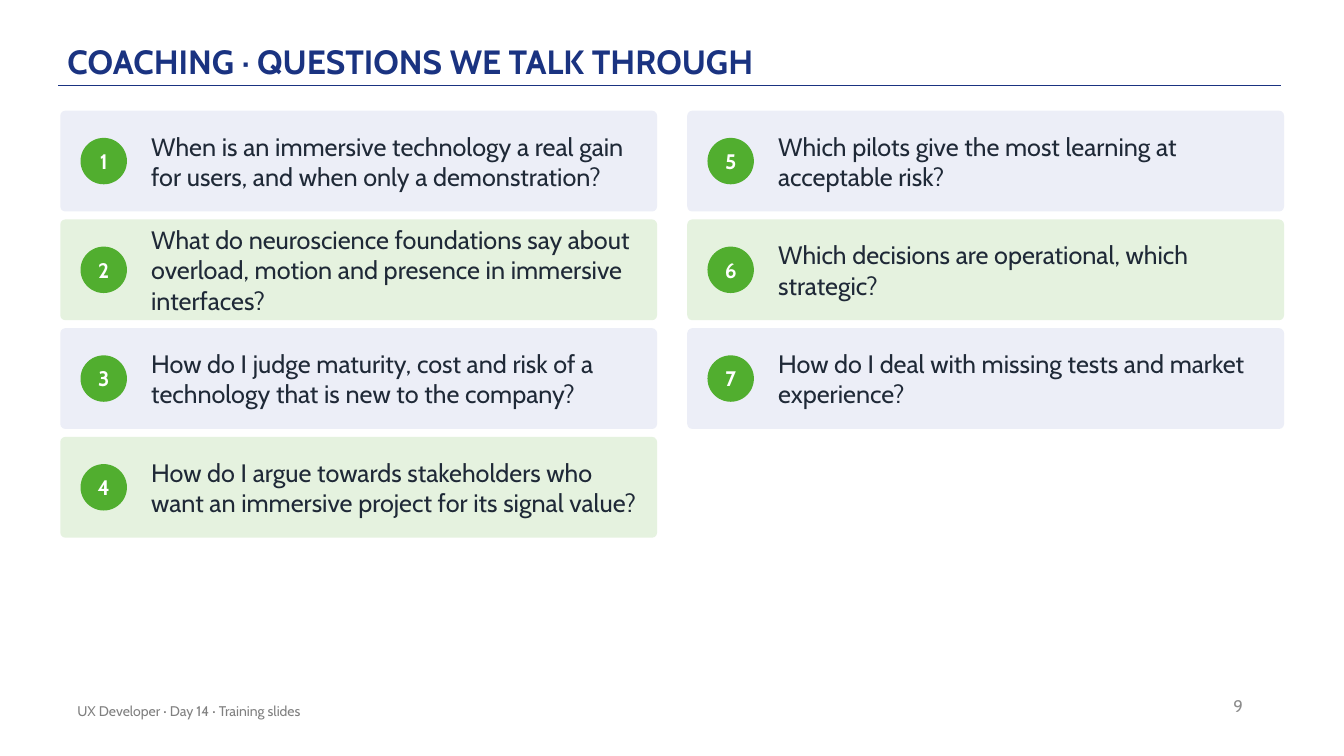
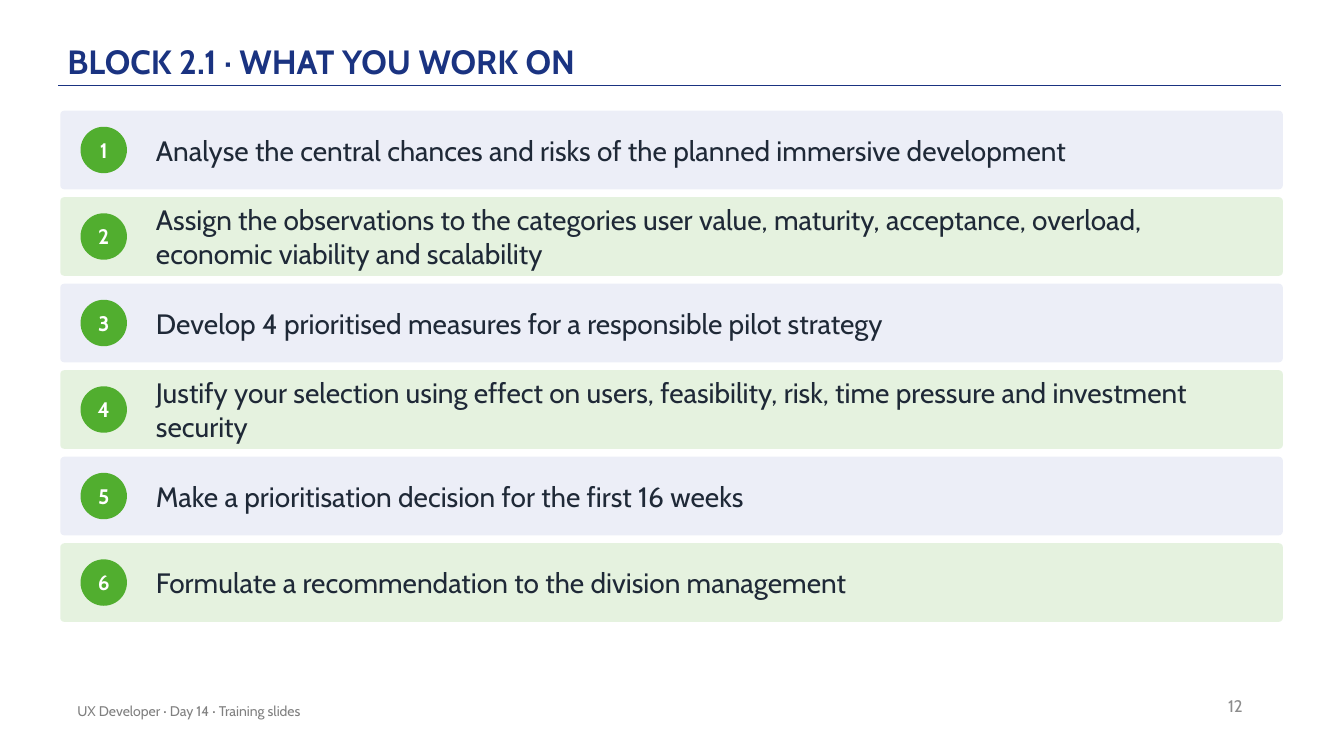
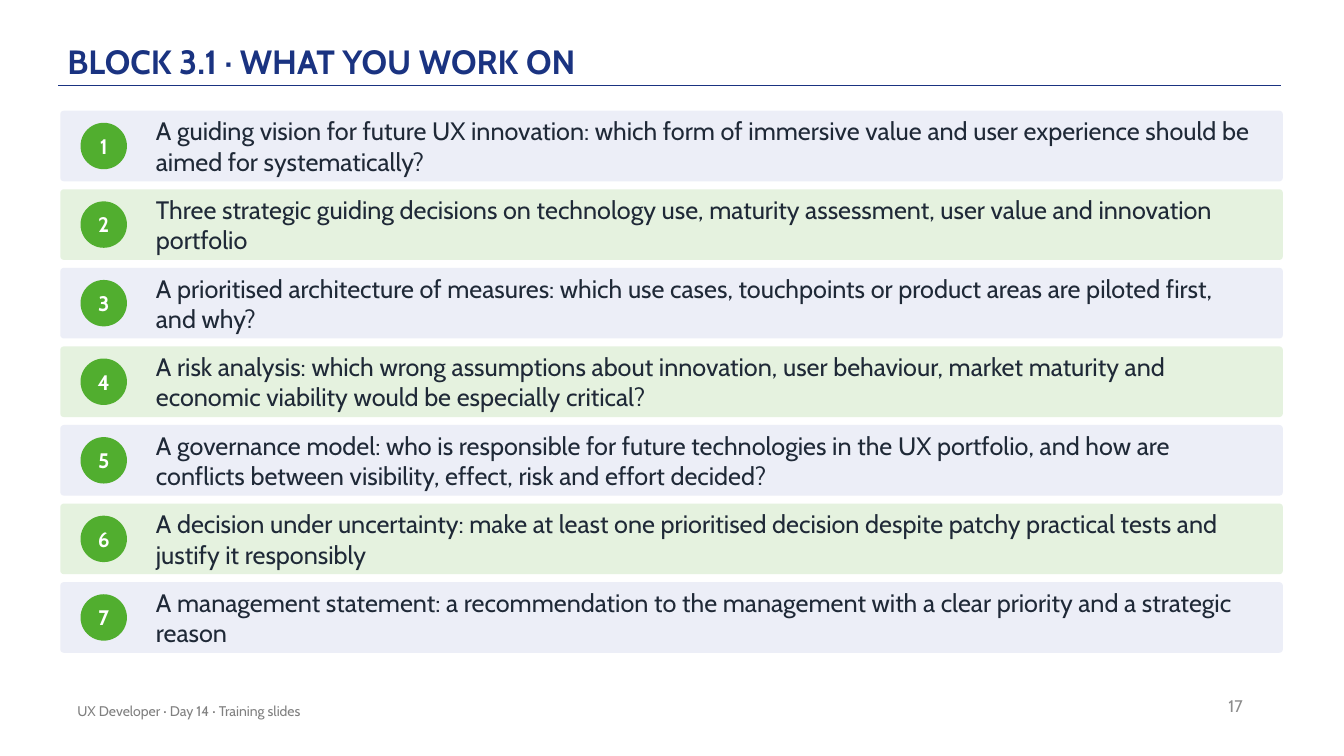
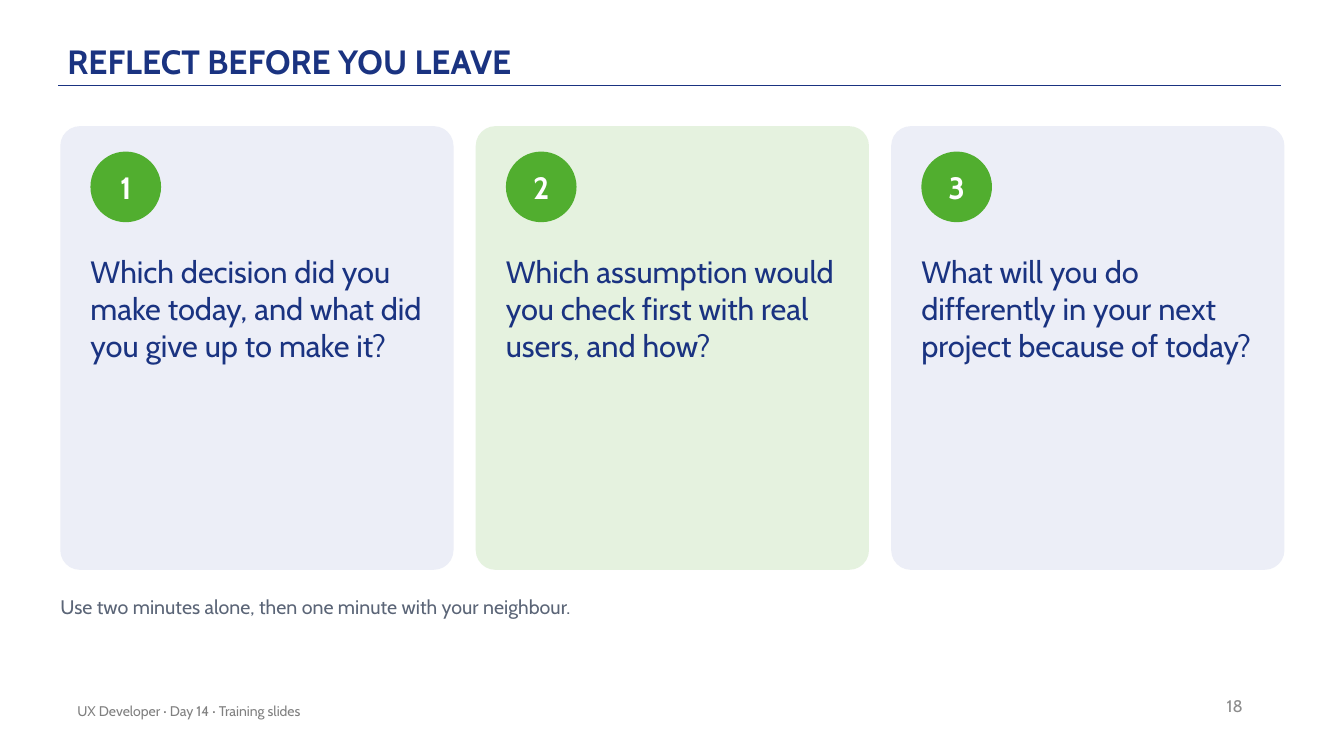
from dataclasses import dataclass

import pptx
import pptx.dml.color
import pptx.enum.shapes
import pptx.enum.text
import pptx.oxml.ns
import pptx.presentation
import pptx.shapes.autoshape
import pptx.slide
import pptx.text.text
import pptx.util
from lxml import etree
from pptx.dml.color import RGBColor
from pptx.enum.shapes import MSO_SHAPE
from pptx.enum.text import MSO_ANCHOR, PP_ALIGN
from pptx.util import Cm

NAVY = RGBColor(0x1A, 0x33, 0x81)
GREEN = RGBColor(0x51, 0xAE, 0x2F)
LAVENDER = RGBColor(0xEC, 0xEE, 0xF7)
MINT = RGBColor(0xE5, 0xF2, 0xDF)
INK = RGBColor(0x1F, 0x29, 0x37)
SLATE = RGBColor(0x5B, 0x65, 0x77)
PAGE_GREY = RGBColor(0x8C, 0x8C, 0x8C)
FOOTER_GREY = RGBColor(0x80, 0x80, 0x80)
WHITE = RGBColor(0xFF, 0xFF, 0xFF)

FONT = "Cabin"
FOOTER = "UX Developer · Day 14 · Training slides"
TITLE_ONLY = 5
LEFT = Cm(1.52)


@dataclass(frozen=True)
class TextStyle:
    size: float
    color: RGBColor
    bold: bool = False
    align: PP_ALIGN = PP_ALIGN.LEFT
    anchor: MSO_ANCHOR = MSO_ANCHOR.MIDDLE


@dataclass(frozen=True)
class Box:
    left: int
    top: int
    width: int
    height: int


@dataclass(frozen=True)
class RowLayout:
    """Numbered rows, filled column by column."""
    width: int
    height: int
    text_indent: int
    right_margin: int
    text_size: float
    rows_per_column: int


@dataclass(frozen=True)
class RowSlide:
    title: str
    page: int
    layout: RowLayout
    items: tuple[str, ...]


TITLE_STYLE = TextStyle(24, NAVY, bold=True, anchor=MSO_ANCHOR.BOTTOM)
PAGE_STYLE = TextStyle(12, PAGE_GREY, align=PP_ALIGN.RIGHT)
FOOTER_STYLE = TextStyle(10, FOOTER_GREY)
CARD_STYLE = TextStyle(22, NAVY, anchor=MSO_ANCHOR.TOP)
HINT_STYLE = TextStyle(14, SLATE, anchor=MSO_ANCHOR.TOP)

ROWS_TOP = Cm(2.79)
ROW_GAP = Cm(0.2)
COLUMN_GAP = Cm(0.76)
ROW_BADGE = Cm(1.17)
ROW_BADGE_INDENT = Cm(0.51)

ROW_SLIDES = (
    RowSlide(
        "COACHING · QUESTIONS WE TALK THROUGH", 9,
        RowLayout(Cm(15.04), Cm(2.54), Cm(2.29), Cm(0.51), 18, rows_per_column=4),
        (
            "When is an immersive technology a real gain for users, and when only a demonstration?",
            "What do neuroscience foundations say about overload, motion and presence in immersive interfaces?",
            "How do I judge maturity, cost and risk of a technology that is new to the company?",
            "How do I argue towards stakeholders who want an immersive project for its signal value?",
            "Which pilots give the most learning at acceptable risk?",
            "Which decisions are operational, which strategic?",
            "How do I deal with missing tests and market experience?",
        ),
    ),
    RowSlide(
        "BLOCK 2.1 · WHAT YOU WORK ON", 12,
        RowLayout(Cm(30.81), Cm(1.98), Cm(2.41), Cm(0.64), 20, rows_per_column=6),
        (
            "Analyse the central chances and risks of the planned immersive development",
            "Assign the observations to the categories user value, maturity, acceptance, overload, "
            "economic viability and scalability",
            "Develop 4 prioritised measures for a responsible pilot strategy",
            "Justify your selection using effect on users, feasibility, risk, time pressure and "
            "investment security",
            "Make a prioritisation decision for the first 16 weeks",
            "Formulate a recommendation to the division management",
        ),
    ),
    RowSlide(
        "BLOCK 3.1 · WHAT YOU WORK ON", 17,
        RowLayout(Cm(30.81), Cm(1.78), Cm(2.41), Cm(0.64), 18, rows_per_column=7),
        (
            "A guiding vision for future UX innovation: which form of immersive value and user "
            "experience should be aimed for systematically?",
            "Three strategic guiding decisions on technology use, maturity assessment, user value "
            "and innovation portfolio",
            "A prioritised architecture of measures: which use cases, touchpoints or product areas "
            "are piloted first, and why?",
            "A risk analysis: which wrong assumptions about innovation, user behaviour, market "
            "maturity and economic viability would be especially critical?",
            "A governance model: who is responsible for future technologies in the UX portfolio, "
            "and how are conflicts between visibility, effect, risk and effort decided?",
            "A decision under uncertainty: make at least one prioritised decision despite patchy "
            "practical tests and justify it responsibly",
            "A management statement: a recommendation to the management with a clear priority and "
            "a strategic reason",
        ),
    ),
)

REFLECTIONS = (
    "Which decision did you make today, and what did you give up to make it?",
    "Which assumption would you check first with real users, and how?",
    "What will you do differently in your next project because of today?",
)


def write(frame: pptx.text.text.TextFrame, text: str, style: TextStyle) -> None:
    frame.text = text
    frame.word_wrap = True
    frame.vertical_anchor = style.anchor
    paragraph = frame.paragraphs[0]
    paragraph.alignment = style.align
    font = paragraph.runs[0].font
    font.name = FONT
    font.size = pptx.util.Pt(style.size)
    font.bold = style.bold
    font.color.rgb = style.color


def set_margins(frame: pptx.text.text.TextFrame, vertical: int = 0) -> None:
    frame.margin_left = frame.margin_right = 0
    frame.margin_top = frame.margin_bottom = vertical


def add_label(slide: pptx.slide.Slide, box: Box, text: str, style: TextStyle,
              padded: bool = False) -> None:
    frame = slide.shapes.add_textbox(box.left, box.top, box.width, box.height).text_frame
    if not padded:
        set_margins(frame)
    write(frame, text, style)


def add_filled(slide: pptx.slide.Slide, kind: MSO_SHAPE, box: Box,
               color: RGBColor) -> pptx.shapes.autoshape.Shape:
    shape = slide.shapes.add_shape(kind, box.left, box.top, box.width, box.height)
    shape.shadow.inherit = False
    shape.fill.solid()
    shape.fill.fore_color.rgb = color
    shape.line.fill.background()
    return shape


def add_panel(slide: pptx.slide.Slide, box: Box, index: int) -> None:
    """Rounded panel whose tint alternates with its index."""
    tint = MINT if index % 2 else LAVENDER
    panel = add_filled(slide, MSO_SHAPE.ROUNDED_RECTANGLE, box, tint)
    panel.adjustments[0] = 0.05


def add_badge(slide: pptx.slide.Slide, left: int, top: int, diameter: int,
              number: int, size: float) -> None:
    badge = add_filled(slide, MSO_SHAPE.OVAL, Box(left, top, diameter, diameter), GREEN)
    set_margins(badge.text_frame)
    write(badge.text_frame, str(number), TextStyle(size, WHITE, True, PP_ALIGN.CENTER))


def add_title_rule(slide: pptx.slide.Slide) -> None:
    rule = slide.shapes.add_connector(
        pptx.enum.shapes.MSO_CONNECTOR.STRAIGHT, Cm(32.28), Cm(2.16), Cm(1.47), Cm(2.16))
    rule.line.color.rgb = NAVY
    rule.line.width = pptx.util.Pt(1)
    etree.SubElement(rule.element.spPr, pptx.oxml.ns.qn("a:effectLst"))


def add_base_slide(deck: pptx.presentation.Presentation, title: str,
                   page: int) -> pptx.slide.Slide:
    """Add a slide with the shared title, rule, page number and footer."""
    slide = deck.slides.add_slide(deck.slide_layouts[TITLE_ONLY])
    add_title_rule(slide)
    heading = slide.shapes.title
    heading.left, heading.top = Cm(1.7), Cm(0.3)
    heading.width, heading.height = Cm(27.94), Cm(1.83)
    set_margins(heading.text_frame, Cm(0.08))
    write(heading.text_frame, title, TITLE_STYLE)
    heading.text_frame.auto_size = pptx.enum.text.MSO_AUTO_SIZE.NONE
    heading.text_frame.paragraphs[0].line_spacing = 0.9
    add_label(slide, Box(Cm(23.95), Cm(17.27), Cm(7.62), Cm(1.02)), str(page), PAGE_STYLE, padded=True)
    add_label(slide, Box(Cm(1.7), Cm(17.4), Cm(17.02), Cm(1.02)), FOOTER, FOOTER_STYLE, padded=True)
    return slide


def add_row_slide(deck: pptx.presentation.Presentation, content: RowSlide) -> None:
    slide = add_base_slide(deck, content.title, content.page)
    layout = content.layout
    style = TextStyle(layout.text_size, INK)
    for index, item in enumerate(content.items):
        column, row = divmod(index, layout.rows_per_column)
        left = LEFT + column * (layout.width + COLUMN_GAP)
        top = ROWS_TOP + row * (layout.height + ROW_GAP)
        add_panel(slide, Box(left, top, layout.width, layout.height), row)
        add_badge(slide, left + ROW_BADGE_INDENT, top + (layout.height - ROW_BADGE) // 2,
                  ROW_BADGE, index + 1, 15)
        text_width = layout.width - layout.text_indent - layout.right_margin
        add_label(slide, Box(left + layout.text_indent, top, text_width, layout.height), item, style)


def add_reflection_slide(deck: pptx.presentation.Presentation) -> None:
    slide = add_base_slide(deck, "REFLECT BEFORE YOU LEAVE", 18)
    top, width, height = Cm(3.18), Cm(9.91), Cm(11.18)
    gap, padding = Cm(0.56), Cm(0.76)
    for index, question in enumerate(REFLECTIONS):
        left = LEFT + index * (width + gap)
        add_panel(slide, Box(left, top, width, height), index)
        add_badge(slide, left + padding, top + Cm(0.64), Cm(1.78), index + 1, 22)
        add_label(slide, Box(left + padding, top + Cm(3.18), width - 2 * padding, Cm(7.62)),
                  question, CARD_STYLE)
    add_label(slide, Box(LEFT, Cm(14.99), Cm(30.73), Cm(1.02)),
              "Use two minutes alone, then one minute with your neighbour.", HINT_STYLE)


def main() -> None:
    deck = pptx.Presentation()
    deck.slide_width, deck.slide_height = Cm(33.87), Cm(19.05)
    for content in ROW_SLIDES:
        add_row_slide(deck, content)
    add_reflection_slide(deck)
    deck.save("out.pptx")


if __name__ == "__main__":
    main()
